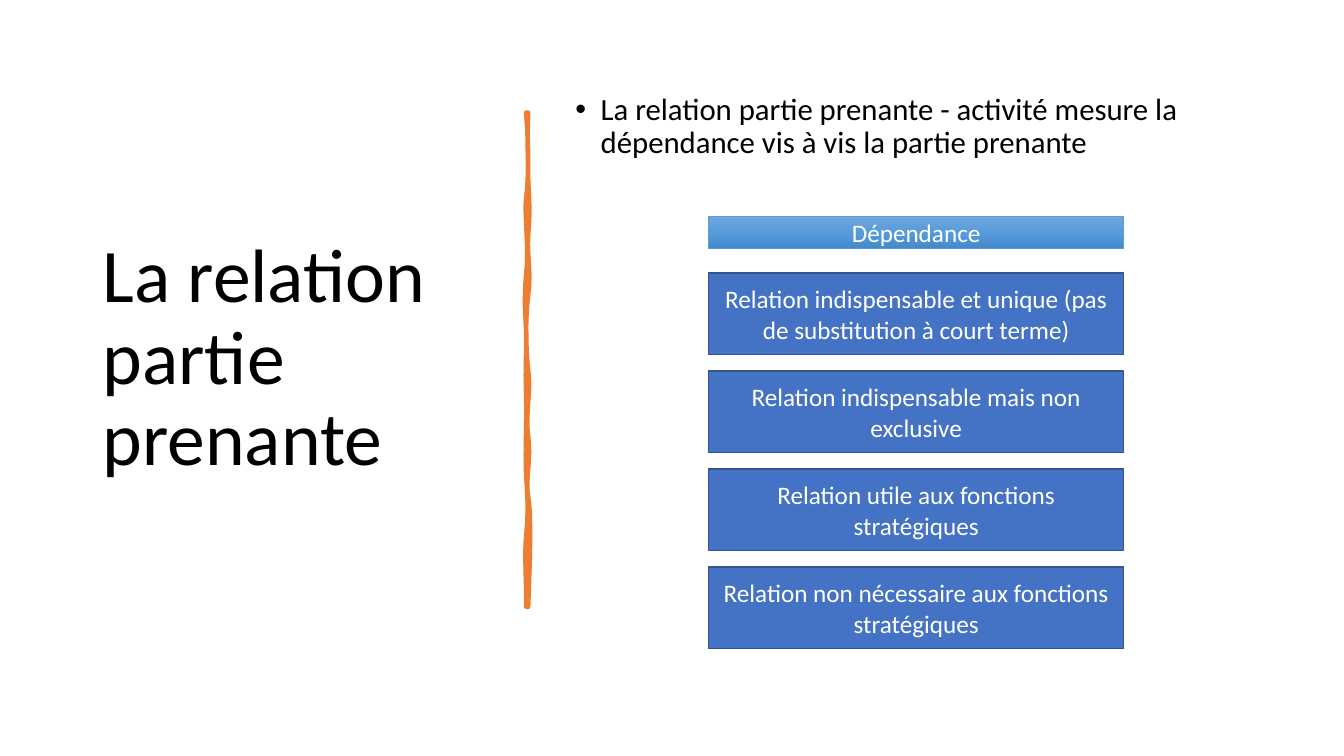
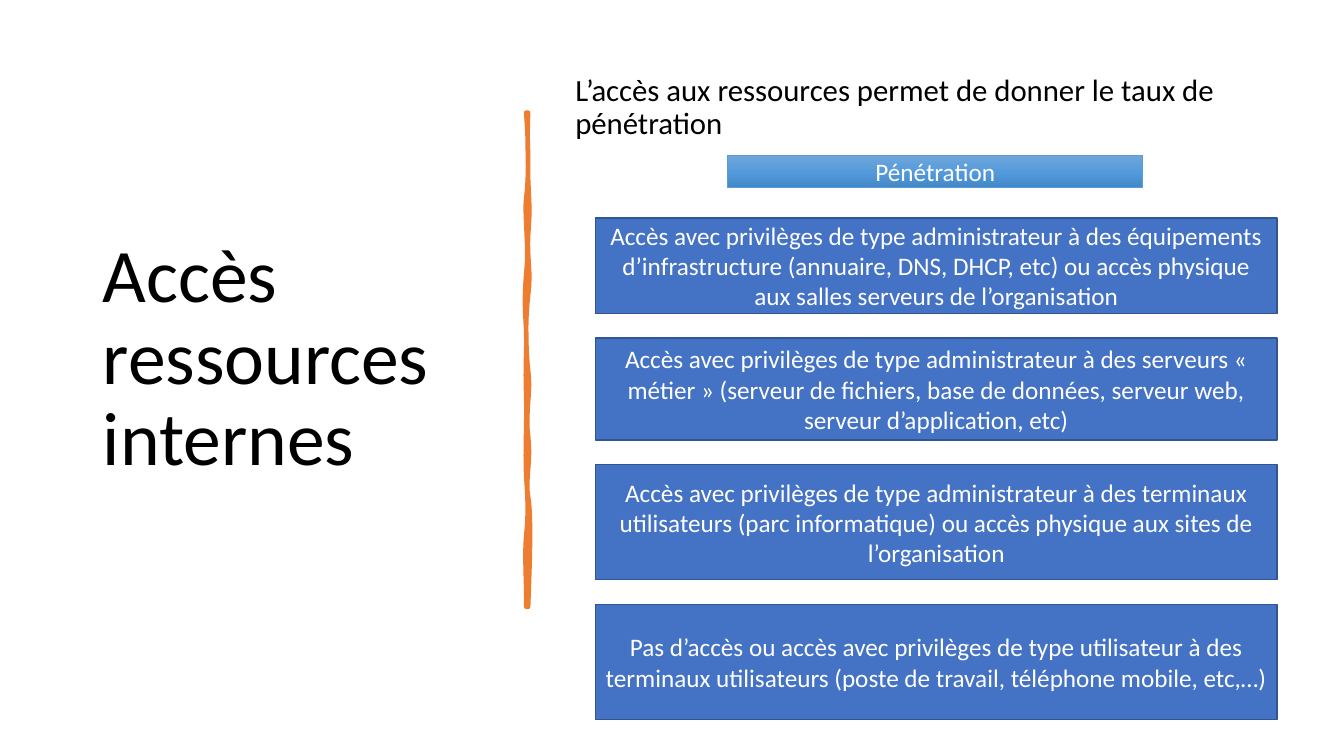
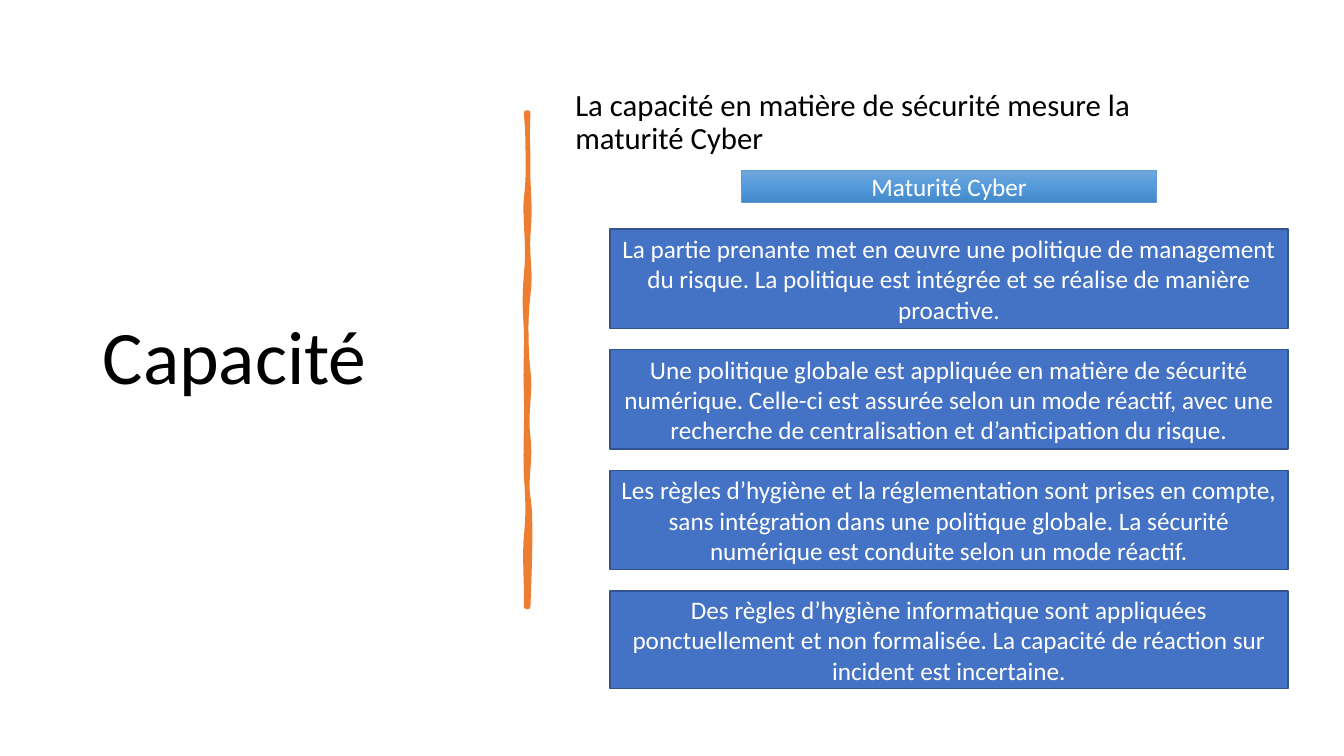
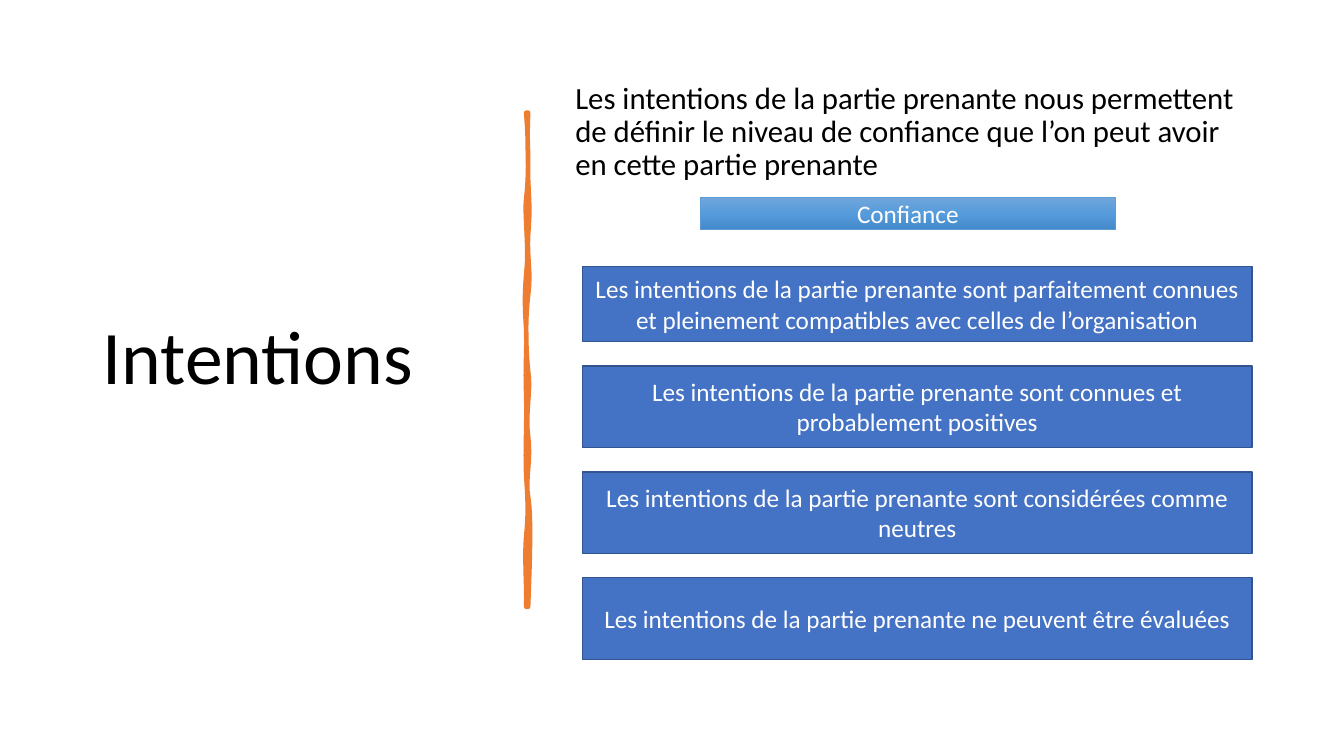
from copy import deepcopy

from pptx import Presentation
from pptx import util as u
from pptx.dml.color import RGBColor
from pptx.enum import shapes, text
from pptx.oxml import ns, xmlchemy

BLACK = RGBColor(0x00, 0x00, 0x00)
WHITE = RGBColor(0xFF, 0xFF, 0xFF)
ORANGE = RGBColor(0xED, 0x7D, 0x31)
BLUE = RGBColor(0x44, 0x72, 0xC4)
NAVY = RGBColor(0x32, 0x54, 0x91)
SKY = RGBColor(0x5B, 0x9B, 0xD5)
BAND = [(0, RGBColor(0x71, 0xA6, 0xDB)), (0.5, RGBColor(0x55, 0x9B, 0xDB)),
        (1, RGBColor(0x44, 0x8A, 0xCA))]
FONT = "Calibri"
Cm = u.Cm

DIVIDER_START = (13.31, 2.84)
DIVIDER_CURVES = [
    ((13.28, 3.61), (13.31, 3.78), (13.31, 4.5)),
    ((13.34, 5.23), (13.36, 5.26), (13.31, 5.92)),
    ((13.28, 6.58), (13.39, 6.83), (13.31, 7.44)),
    ((13.23, 8.05), (13.26, 8.89), (13.31, 9.35)),
    ((13.39, 9.8), (13.23, 10.41), (13.31, 11)),
    ((13.39, 11.58), (13.23, 12.09), (13.31, 12.52)),
    ((13.39, 12.98), (13.36, 14), (13.31, 15.29)),
    ((13.28, 15.29), (13.28, 15.29), (13.26, 15.29)),
    ((13.28, 14.83), (13.21, 14.05), (13.26, 13.51)),
    ((13.31, 13), (13.31, 12.7), (13.26, 11.99)),
    ((13.23, 11.28), (13.28, 10.72), (13.26, 9.96)),
    ((13.23, 9.22), (13.28, 8.81), (13.26, 8.31)),
    ((13.23, 7.8), (13.21, 7.54), (13.26, 6.91)),
    ((13.34, 6.27), (13.21, 5.38), (13.26, 5)),
    ((13.31, 4.62), (13.34, 3.86), (13.26, 2.84)),
]
STEPS = 8

SLIDES = [
    dict(title="La relation partie prenante",
         intro="La relation partie prenante - activité mesure la dépendance vis à vis la partie prenante",
         intro_height=3.38, bullet=True,
         band="Dépendance", band_at=(17.86, 5.46),
         left=17.86, top=6.88, width=10.46, gap=0.41,
         boxes=[
             (2.06, "Relation indispensable et unique (pas de substitution à court terme)"),
             (2.06, "Relation indispensable mais non exclusive"),
             (2.06, "Relation utile aux fonctions stratégiques"),
             (2.06, "Relation non nécessaire aux fonctions stratégiques"),
         ]),
    dict(title="Accès ressources internes",
         intro="L’accès aux ressources permet de donner le taux de pénétration",
         intro_height=2.41, bullet=False,
         band="Pénétration", band_at=(18.34, 3.91),
         left=15.01, top=5.49, width=17.17, gap=0.62,
         boxes=[
             (2.41, "Accès avec privilèges de type administrateur à des équipements d’infrastructure (annuaire, DNS, DHCP, etc) ou accès physique aux salles serveurs de l’organisation"),
             (2.57, "Accès avec privilèges de type administrateur à des serveurs « métier » (serveur de fichiers, base de données, serveur web, serveur d’application, etc)"),
             (2.9, "Accès avec privilèges de type administrateur à des terminaux utilisateurs (parc informatique) ou accès physique aux sites de l’organisation"),
             (2.9, "Pas d’accès ou accès avec privilèges de type utilisateur à des terminaux utilisateurs (poste de travail, téléphone mobile, etc,…)"),
         ]),
    dict(title="Capacité",
         intro="La capacité en matière de sécurité mesure la maturité Cyber",
         intro_height=3.18, bullet=False,
         band="Maturité Cyber", band_at=(18.69, 4.29),
         left=15.37, top=5.77, width=17.09, gap=0.53,
         boxes=[
             (2.51, "La partie prenante met en œuvre une politique de management du risque. La politique est intégrée et se réalise de manière proactive."),
             (2.51, "Une politique globale est appliquée en matière de sécurité numérique. Celle-ci est assurée selon un mode réactif, avec une recherche de centralisation et d’anticipation du risque."),
             (2.51, "Les règles d’hygiène et la réglementation sont prises en compte, sans intégration dans une politique globale. La sécurité numérique est conduite selon un mode réactif."),
             (2.46, "Des règles d’hygiène informatique sont appliquées ponctuellement et non formalisée. La capacité de réaction sur incident est incertaine."),
         ]),
    dict(title="Intentions",
         intro="Les intentions de la partie prenante nous permettent de définir le niveau de confiance que l’on peut avoir en cette partie prenante",
         intro_height=3.63, bullet=False,
         band="Confiance", band_at=(17.65, 4.98),
         left=14.68, top=6.71, width=16.87, gap=0.61,
         boxes=[
             (1.9, "Les intentions de la partie prenante sont parfaitement connues et pleinement compatibles avec celles de l’organisation"),
             (2.06, "Les intentions de la partie prenante sont connues et probablement positives"),
             (2.06, "Les intentions de la partie prenante sont considérées comme neutres"),
             (2.06, "Les intentions de la partie prenante ne peuvent être évaluées"),
         ]),
]


def add_text(sp, words, size, color, align, spacing=1.0, bullet=False):
    tf = sp.text_frame
    tf.word_wrap = True
    tf.vertical_anchor = text.MSO_ANCHOR.MIDDLE
    p = tf.paragraphs[0]
    if bullet:
        pPr = p._p.get_or_add_pPr()
        pPr.set("marL", str(Cm(0.64)))
        pPr.set("indent", str(-Cm(0.64)))
        pPr.append(xmlchemy.OxmlElement("a:buFont"))
        pPr[-1].set("typeface", "Arial")
        pPr.append(xmlchemy.OxmlElement("a:buChar"))
        pPr[-1].set("char", "•")
    p.alignment = align
    p.line_spacing = spacing
    r = p.add_run()
    r.text = words
    r.font.name = FONT
    r.font.size = u.Pt(size)
    r.font.color.rgb = color


def add_box(s, at, words, line, weight):
    sp = s.shapes.add_shape(shapes.MSO_SHAPE.RECTANGLE, *map(Cm, at))
    sp.shadow.inherit = False
    sp.fill.solid()
    sp.fill.fore_color.rgb = BLUE
    sp.line.color.rgb = line
    sp.line.width = u.Pt(weight)
    add_text(sp, words, 18, WHITE, text.PP_ALIGN.CENTER)
    return sp


prs = Presentation()
prs.slide_width = Cm(33.87)
prs.slide_height = Cm(19.05)

outline = []
start = DIVIDER_START
for c1, c2, end in DIVIDER_CURVES:
    for step in range(1, STEPS + 1):
        t = step / STEPS
        outline.append(tuple(
            Cm((1 - t) ** 3 * a + 3 * (1 - t) ** 2 * t * b + 3 * (1 - t) * t ** 2 * c + t ** 3 * d)
            for a, b, c, d in zip(start, c1, c2, end)))
    start = end

for item in SLIDES:
    s = prs.slides.add_slide(prs.slide_layouts[6])

    sp = s.shapes.add_textbox(Cm(2.34), Cm(1.52), Cm(10.01), Cm(15.09))
    add_text(sp, item["title"], 54, BLACK, text.PP_ALIGN.LEFT, 0.9)

    builder = s.shapes.build_freeform(*map(Cm, DIVIDER_START))
    builder.add_line_segments(outline, close=True)
    sp = builder.convert_to_shape()
    sp.shadow.inherit = False
    sp.fill.solid()
    sp.fill.fore_color.rgb = ORANGE
    sp.line.color.rgb = ORANGE
    sp.line.width = u.Pt(3.25)

    sp = s.shapes.add_textbox(Cm(14.25), Cm(1.52), Cm(17.3), Cm(item["intro_height"]))
    add_text(sp, item["intro"], 22, BLACK, text.PP_ALIGN.LEFT, 0.9, item["bullet"])

    top = item["top"]
    for height, words in item["boxes"]:
        add_box(s, (item["left"], top, item["width"], height), words, NAVY, 1)
        top += height + item["gap"]

    sp = add_box(s, (*item["band_at"], 10.46, 0.81), item["band"], SKY, 0.5)
    sp.fill.gradient()
    sp.fill.gradient_angle = 270
    stops = sp._element.spPr.find(ns.qn("a:gradFill")).find(ns.qn("a:gsLst"))
    stops.insert(1, deepcopy(stops[0]))
    for stop, (position, color) in zip(sp.fill.gradient_stops, BAND):
        stop.position = position
        stop.color.rgb = color

prs.save("out.pptx")
